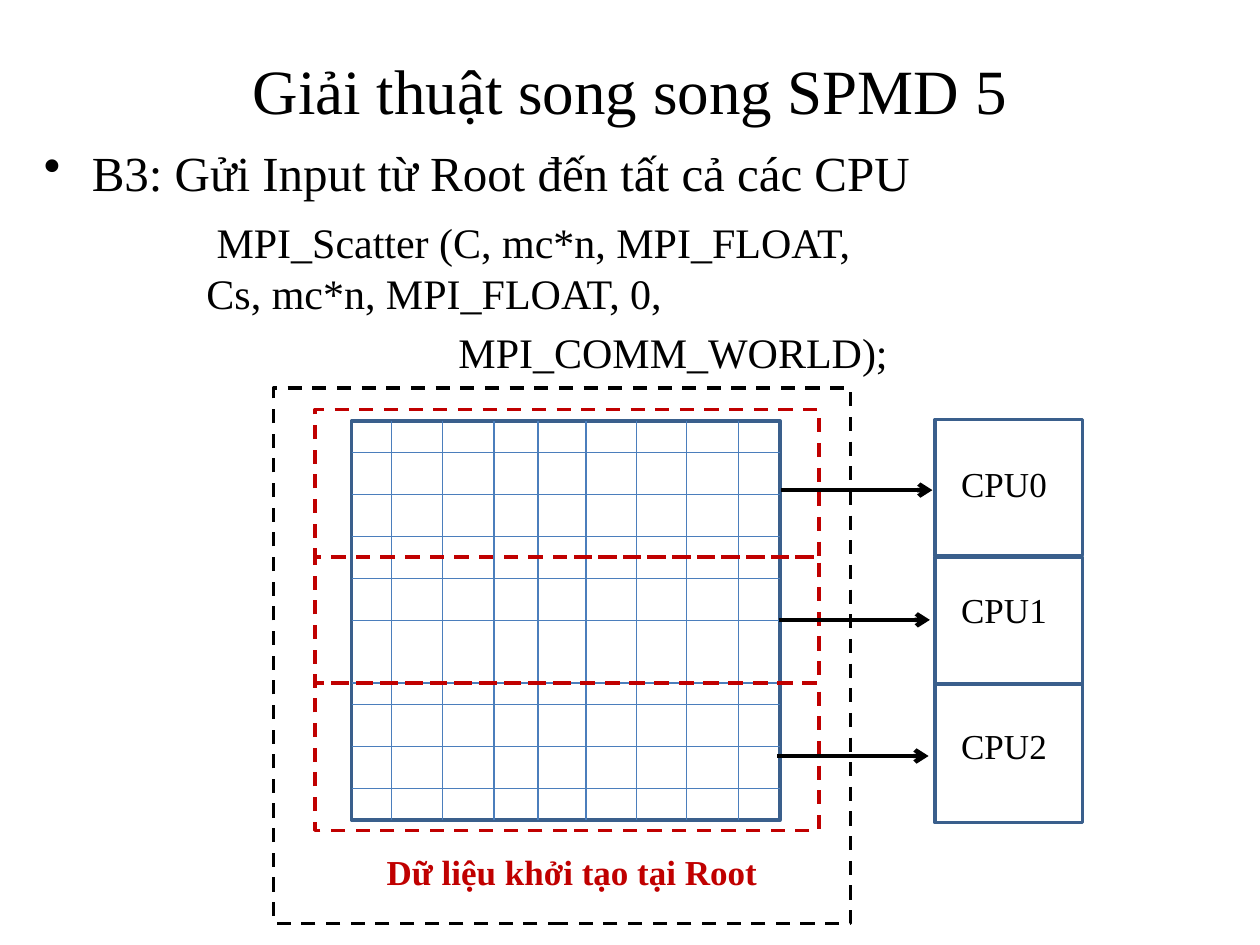
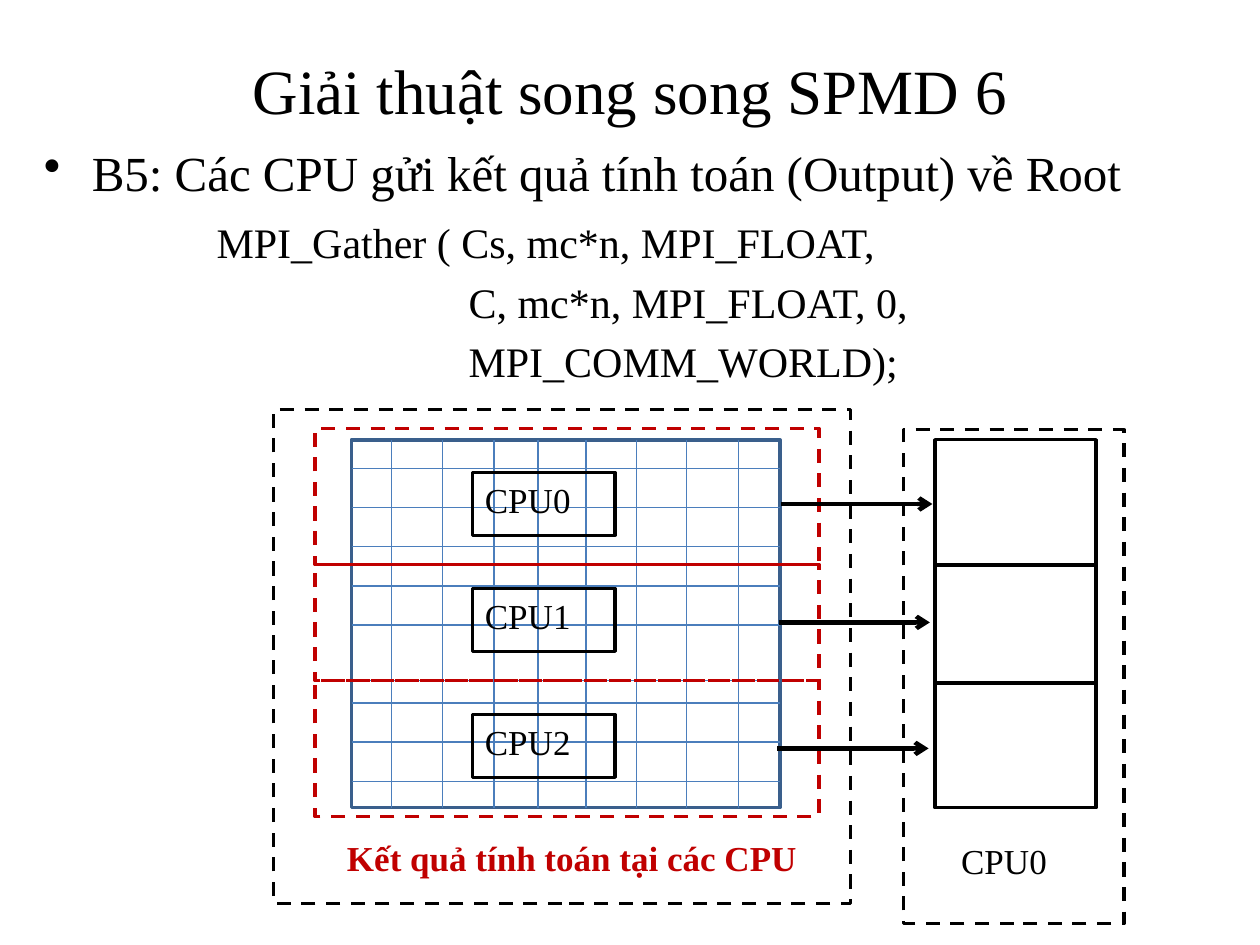
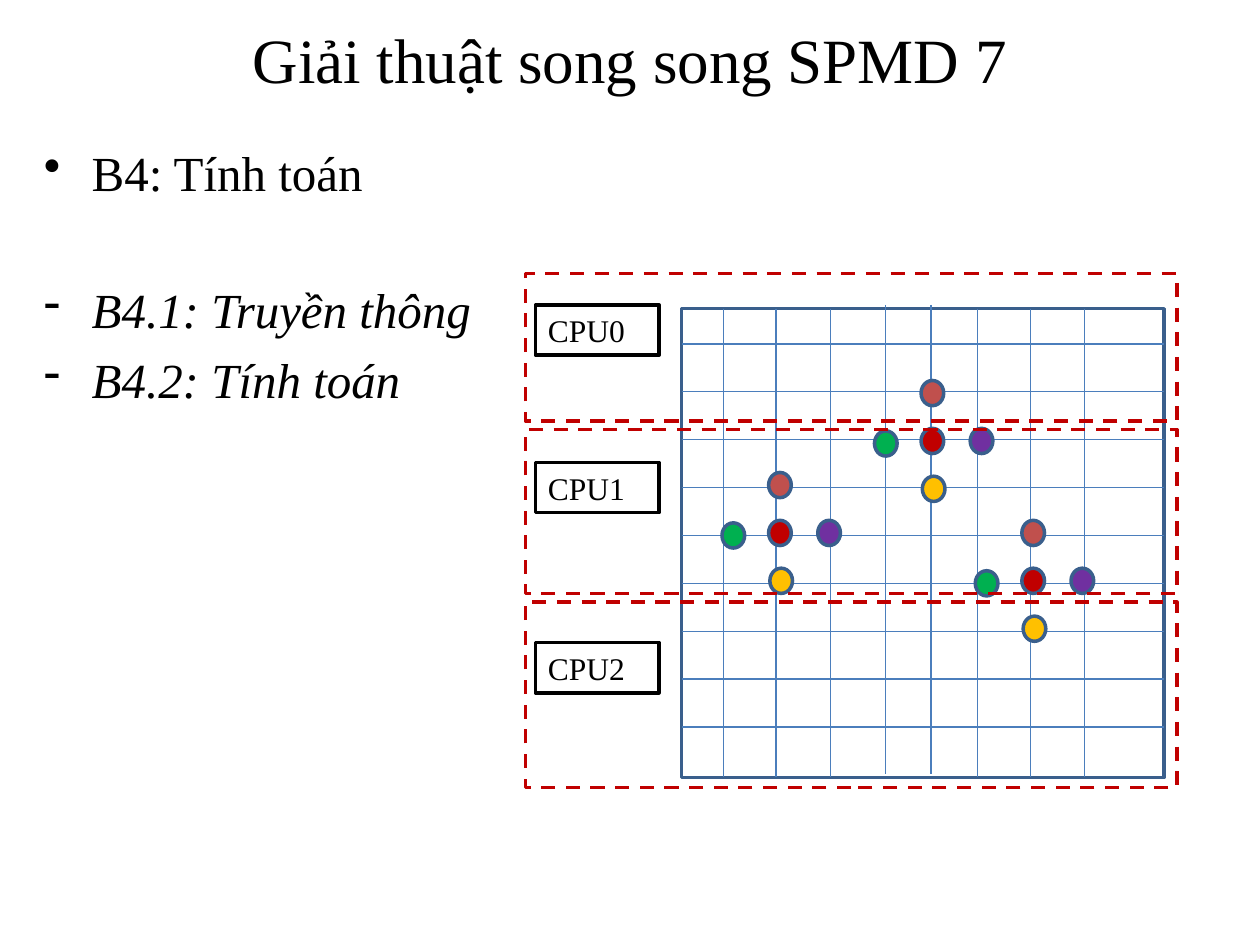
import dataclasses

import lxml.etree
import pptx
import pptx.dml.color
import pptx.enum.dml
import pptx.enum.shapes
import pptx.enum.text
import pptx.oxml.ns
import pptx.util

Inches = pptx.util.Inches
Pt = pptx.util.Pt
Shape = pptx.enum.shapes.MSO_SHAPE
Align = pptx.enum.text.PP_ALIGN
Anchor = pptx.enum.text.MSO_ANCHOR


@dataclasses.dataclass(frozen=True)
class Theme:
    font: str = "Times New Roman"
    ink: str = "000000"
    accent: str = "C00000"
    frame: str = "3A5F8C"
    grid: str = "4B7EBC"
    north: str = "C0504D"
    east: str = "7030A0"
    south: str = "FFC000"
    west: str = "00B050"
    title: int = 36
    body: int = 28
    code: int = 24
    label: int = 20
    small: int = 18
    thin: float = 0.75
    outline: float = 2
    arrow: float = 2.5


def rgb(value):
    return pptx.dml.color.RGBColor.from_string(value)


def apply(target, formats):
    for name, value in formats.items():
        setattr(target, name, value)


def add_xml(parent, tag, **attributes):
    return lxml.etree.SubElement(parent, pptx.oxml.ns.qn(tag), attributes)


class Builder:
    """Draws styled elements on the current slide."""

    def __init__(self, theme):
        self.theme = theme
        self.deck = pptx.Presentation()
        apply(self.deck, {"slide_width": Inches(10), "slide_height": Inches(7.5)})
        self.page = None

    def start(self, title, height=1.08, **formats):
        self.page = self.deck.slides.add_slide(self.deck.slide_layouts[6])
        box = self.text((0.5, 0.17, 9, height), title, self.theme.title, alignment=Align.CENTER, **formats)
        box.text_frame.vertical_anchor = Anchor.MIDDLE

    def add_span(self, para, text, size, color=None, **formats):
        span = para.add_run()
        span.text = text
        apply(span.font, {"name": self.theme.font, "size": Pt(size), **formats})
        span.font.color.rgb = rgb(color or self.theme.ink)

    def text(self, place, text, size, color=None, bold=False, **formats):
        box = self.page.shapes.add_textbox(*map(Inches, place))
        box.text_frame.word_wrap = True
        para = box.text_frame.paragraphs[0]
        apply(para, formats)
        self.add_span(para, text, size, color, bold=bold)
        return box

    def body(self, place, items):
        box = self.page.shapes.add_textbox(*map(Inches, place))
        frame = box.text_frame
        frame.word_wrap = True
        for index, (text, size, before, bullet, margin, italic) in enumerate(items):
            para = frame.add_paragraph() if index else frame.paragraphs[0]
            properties = para._p.get_or_add_pPr()
            properties.set("marL", str(Inches(margin)))
            if bullet:
                properties.set("indent", str(-Inches(margin)))
                add_xml(properties, "a:buChar", char=bullet)
            para.space_before = Pt(before)
            self.add_span(para, text, size, italic=italic)

    def shape(self, place, color, fill=None, kind=Shape.RECTANGLE, dashed=False):
        shape = self.page.shapes.add_shape(kind, *map(Inches, place))
        shape.shadow.inherit = False
        if fill:
            shape.fill.solid()
            shape.fill.fore_color.rgb = rgb(fill)
        else:
            shape.fill.background()
        shape.line.color.rgb = rgb(color)
        shape.line.width = Pt(self.theme.outline)
        if dashed:
            shape.line.dash_style = pptx.enum.dml.MSO_LINE.DASH
        return shape

    def tag(self, place, text, size):
        shape = self.shape(place, self.theme.ink)
        shape.text_frame.vertical_anchor = Anchor.TOP
        para = shape.text_frame.paragraphs[0]
        para.alignment = Align.LEFT
        self.add_span(para, text, size)

    def line(self, start, end, color, width, arrow=False):
        line = self.page.shapes.add_connector(
            pptx.enum.shapes.MSO_CONNECTOR.STRAIGHT, *map(Inches, (*start, *end)))
        line.line.color.rgb = rgb(color)
        line.line.width = Pt(width)
        if arrow:
            add_xml(line.line._get_or_add_ln(), "a:tailEnd", type="arrow")
        add_xml(line._element.spPr, "a:effectLst")

    def arrow(self, left, top):
        self.line((left, top), (left + 1.2, top), self.theme.ink, self.theme.arrow, arrow=True)

    def columns(self, positions, top, height):
        for x in positions:
            self.line((x, top), (x, top + height), self.theme.grid, self.theme.thin)

    def mesh(self, place, rows, positions):
        left, top, width, height = place
        self.shape(place, self.theme.frame)
        for y in rows:
            self.line((left, y), (left + width, y), self.theme.grid, self.theme.thin)
        self.columns(positions, top, height)

    def stencil(self, left, top):
        theme = self.theme
        for dx, dy, fill in ((0, -0.38, theme.north), (0.39, 0, theme.east), (0.01, 0.38, theme.south),
                             (-0.37, 0.02, theme.west), (0, 0, theme.accent)):
            self.shape((left + dx, top + dy, 0.18, 0.2), theme.frame, fill, Shape.OVAL)

    def root_panel(self, mesh_top, mesh_height, rows, bands, arrows, panel, caption):
        theme = self.theme
        self.mesh((2.79, mesh_top, 3.4, mesh_height), rows,
                  (3.11, 3.51, 3.92, 4.27, 4.65, 5.05, 5.45, 5.86))
        for top, height in bands:
            self.shape((2.5, top, 4, height), theme.accent, dashed=True)
        for left, top in zip((6.2, 6.18, 6.17), arrows):
            self.arrow(left, top)
        self.shape((2.17, panel[0], 4.58, panel[1]), theme.ink, dashed=True)
        self.text((2.5, caption[0], 4.08, 0.44), caption[1], theme.label, theme.accent, True,
                  alignment=Align.CENTER)

    def stack(self, left, width, color, cells):
        for top, height in cells:
            self.shape((left, top, width, height), color)


def split_rows(first, step, band_line):
    return [band_line if index == 5 else first + index * step for index in range(9)]


def scatter(build):
    theme = build.theme
    build.start("Giải thuật song song SPMD 5")
    build.body((0.25, 1.08, 9.58, 6.42), (
        ("B3: Gửi Input từ Root đến tất cả các CPU", theme.body, 0, "•", 0.38, False),
        ("MPI_Scatter (C, mc*n, MPI_FLOAT,", theme.code, 9, None, 1.37, False),
        ("Cs, mc*n, MPI_FLOAT, 0,", theme.code, 0, None, 1.29, False),
        ("MPI_COMM_WORLD);", theme.code, 5, None, 3.29, False)))
    build.root_panel(3.34, 3.17, split_rows(3.59, 1 / 3, 5.42),
                     ((5.42, 1.17), (3.25, 1.17), (4.42, 1)), (3.89, 4.92, 6),
                     (3.08, 4.25), (6.7, "Dữ liệu khởi tạo tại Root"))
    for number, top in enumerate((3.62, 4.62, 5.7)):
        build.text((7.53, top, 1.13, 0.55), f"CPU{number}", theme.label)
    build.stack(7.42, 1.17, theme.frame, ((3.33, 1.08), (4.42, 1.01), (5.43, 1.1)))


def gather(build):
    theme = build.theme
    build.start("Giải thuật song song SPMD 6")
    build.body((0.25, 1.08, 9.58, 5.75), (
        ("B5: Các CPU gửi kết quả tính toán (Output) về Root", theme.body, 0, "•", 0.38, False),
        ("MPI_Gather ( Cs, mc*n, MPI_FLOAT,", theme.code, 9, None, 1.37, False),
        ("C, mc*n, MPI_FLOAT, 0,", theme.code, 5, None, 3.37, False),
        ("MPI_COMM_WORLD);", theme.code, 5, None, 3.37, False)))
    build.root_panel(3.49, 2.92, split_rows(3.72, 0.31, 5.4),
                     ((5.4, 1.08), (3.4, 1.08), (4.48, 0.92)), (4, 4.94, 5.94),
                     (3.25, 3.92), (6.59, "Kết quả tính toán tại các CPU"))
    for number, top in enumerate((3.75, 4.67, 5.67)):
        build.tag((3.75, top, 1.13, 0.5), f"CPU{number}", theme.label)
    build.stack(7.42, 1.28, theme.ink, ((3.49, 1), (4.48, 0.94), (5.42, 0.99)))
    build.shape((7.17, 3.41, 1.75, 3.92), theme.ink, dashed=True)
    build.text((7.53, 6.61, 1.13, 0.42), "CPU0", theme.label)


def compute(build):
    theme = build.theme
    build.start("Giải thuật song song SPMD 7", 0.67, line_spacing=0.9)
    build.body((0.25, 1.08, 3.83, 5.83), (
        ("B4: Tính toán", theme.body, 0, "•", 0.38, False),
        ("B4.1: Truyền thông", theme.body, 45, "-", 0.38, True),
        ("B4.2: Tính toán", theme.body, 6, "-", 0.38, True)))
    build.mesh((5.41, 2.45, 3.83, 3.72), [2.73 + 0.38 * index for index in range(9)],
               (5.74, 6.16, 6.59, 7.76, 8.18, 8.61))
    build.columns((7.03, 7.39), 2.42, 3.72)
    for center in ((6.1, 4.13), (7.31, 3.4), (8.11, 4.51)):
        build.stencil(*center)
    bands = ((2.17, 1.17, 2.42), (3.41, 1.3, 3.67), (4.78, 1.47, 5.1))
    for number, (top, height, tag_top) in enumerate(bands):
        build.shape((4.17, top, 5.17, height), theme.accent, dashed=True)
        build.tag((4.25, tag_top, 0.98, 0.4), f"CPU{number}", theme.small)


def main():
    build = Builder(Theme())
    for draw in (scatter, gather, compute):
        draw(build)
    build.deck.save("out.pptx")


if __name__ == "__main__":
    main()
